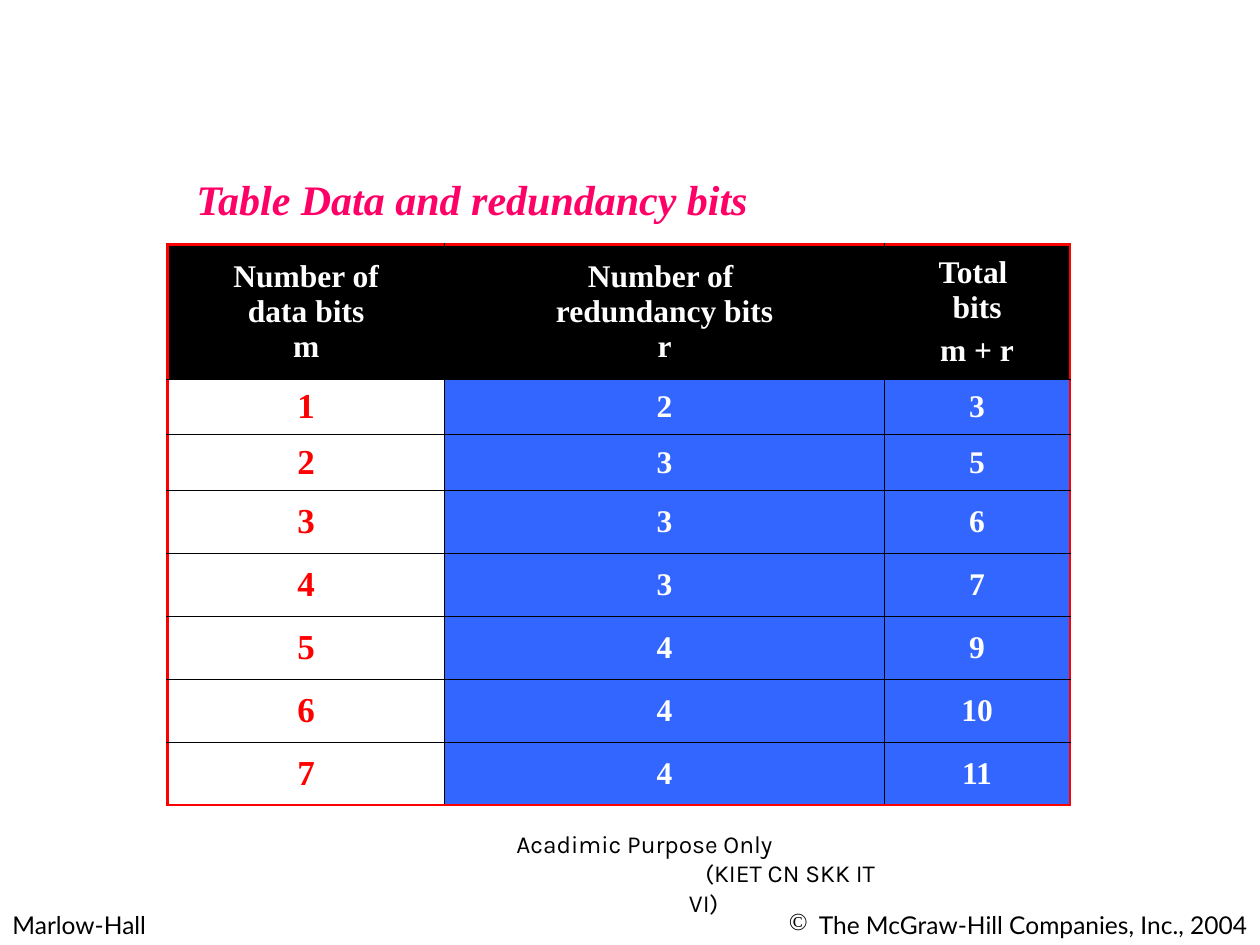
from lxml import etree
from pptx import Presentation
from pptx.dml.color import RGBColor
from pptx.enum.text import MSO_ANCHOR, PP_ALIGN
from pptx.oxml.ns import qn
from pptx.util import Inches, Pt

BLACK = RGBColor(0x00, 0x00, 0x00)
WHITE = RGBColor(0xFF, 0xFF, 0xFF)
RED = RGBColor(0xFF, 0x00, 0x00)
PINK = RGBColor(0xFF, 0x00, 0x66)
BLUE = RGBColor(0x33, 0x66, 0xFF)
LEFT, CENTER, RIGHT = PP_ALIGN.LEFT, PP_ALIGN.CENTER, PP_ALIGN.RIGHT
TOP, MIDDLE, BOTTOM = MSO_ANCHOR.TOP, MSO_ANCHOR.MIDDLE, MSO_ANCHOR.BOTTOM

SERIF = {"name": "Times New Roman", "bold": True}
TITLE = {**SERIF, "size": Pt(24), "italic": True, "color": PINK}
BODY = {**SERIF, "size": Pt(18), "color": WHITE}
DATA_BITS = {**SERIF, "size": Pt(20), "color": RED}
CREDIT = {"name": "Lato", "size": Pt(14), "color": BLACK}
PURPOSE = {"name": "Karla", "size": Pt(14), "color": BLACK}

HEADERS = ["Number of\vdata bits\vm",
           "Number of \vredundancy bits\vr",
           "Total \vbits\nm + r"]
BITS = [(1, 2), (2, 3), (3, 3), (4, 3), (5, 4), (6, 4), (7, 4)]
COL_WIDTHS = [2.2, 3.49, 1.47]
ROW_HEIGHTS = [1.07] + [0.44] * 2 + [0.5] * 5


def format_paragraph(p, style, align):
    p.alignment = align
    for key, value in style.items():
        if key == "color":
            p.font.color.rgb = value
        else:
            setattr(p.font, key, value)
    for r in p.runs:
        for key, value in style.items():
            if key == "color":
                r.font.color.rgb = value
            else:
                setattr(r.font, key, value)


def add_text(slide, box, text, style, align=LEFT, anchor=TOP, wrap=True):
    tf = slide.shapes.add_textbox(*map(Inches, box)).text_frame
    tf.word_wrap = wrap
    tf.vertical_anchor = anchor
    tf.text = text
    for p in tf.paragraphs:
        format_paragraph(p, style, align)
    return tf


def set_indent(p, left, first=0):
    pPr = p._p.get_or_add_pPr()
    pPr.set("marL", str(Inches(left)))
    pPr.set("indent", str(Inches(first)))
    return pPr


def add_copyright(slide, box):
    tf = add_text(slide, box, "The McGraw-Hill Companies, Inc., 2004", CREDIT, RIGHT)
    pPr = set_indent(tf.paragraphs[0], 0.24, -0.24)
    bullet = etree.Element(qn("a:buChar"), char="©")
    pPr.insert(0, bullet)


def add_purpose(slide, box):
    """Three lines stepping across the box: left, indented, centred."""
    tf = add_text(slide, box, "Acadimic Purpose Only\n(KIET CN SKK IT\nVI)",
                  PURPOSE, anchor=BOTTOM)
    set_indent(tf.paragraphs[1], 1.5)
    tf.paragraphs[2].alignment = CENTER


def set_borders(cell, sides):
    """Draw the L, R, T and B borders; sides tells which are on the outer edge."""
    tcPr = cell._tc.get_or_add_tcPr()
    for i, (side, outer) in enumerate(sides.items()):
        color, width = (RED, 1.5) if outer else (BLACK, 0.45)
        ln = etree.Element(qn(f"a:ln{side}"), w=str(Pt(width)))
        fill = etree.SubElement(ln, qn("a:solidFill"))
        etree.SubElement(fill, qn("a:srgbClr"), val=str(color))
        tcPr.insert(i, ln)


def fill_cell(cell, text, style, fill):
    cell.fill.solid()
    cell.fill.fore_color.rgb = fill
    cell.vertical_anchor = MIDDLE
    tf = cell.text_frame
    tf.text = text
    for i, p in enumerate(tf.paragraphs):
        format_paragraph(p, style, CENTER)
        if i:
            p.space_before = Pt(4.5)


def add_bits_table(slide, left, top):
    rows = [HEADERS] + [(m, r, m + r) for m, r in BITS]
    n_rows, n_cols = len(ROW_HEIGHTS), len(COL_WIDTHS)
    table = slide.shapes.add_table(
        n_rows, n_cols, Inches(left), Inches(top),
        Inches(sum(COL_WIDTHS)), Inches(sum(ROW_HEIGHTS))).table
    for column, width in zip(table.columns, COL_WIDTHS):
        column.width = Inches(width)
    for row, height in zip(table.rows, ROW_HEIGHTS):
        row.height = Inches(height)
    for i, values in enumerate(rows):
        for j, value in enumerate(values):
            if i == 0:
                style, fill = BODY, BLACK
            elif j == 0:
                style, fill = DATA_BITS, WHITE
            else:
                style, fill = BODY, BLUE
            cell = table.cell(i, j)
            fill_cell(cell, str(value), style, fill)
            set_borders(cell, {"L": j == 0, "R": j == n_cols - 1,
                               "T": i == 0, "B": i == n_rows - 1})


def main():
    prs = Presentation()
    prs.slide_width, prs.slide_height = Inches(10), Inches(7.5)
    slide = prs.slides.add_slide(prs.slide_layouts[6])
    add_text(slide, (0, 7.17, 2.42, 0.34), "Marlow-Hall", CREDIT)
    add_copyright(slide, (5, 7.17, 5, 0.34))
    add_text(slide, (1.46, 1.33, 4.61, 0.5), "Table Data and redundancy bits",
             TITLE, wrap=False)
    add_bits_table(slide, 1.33, 1.94)
    add_purpose(slide, (4, 6.83, 3.17, 0.5))
    prs.save("out.pptx")


if __name__ == "__main__":
    main()
